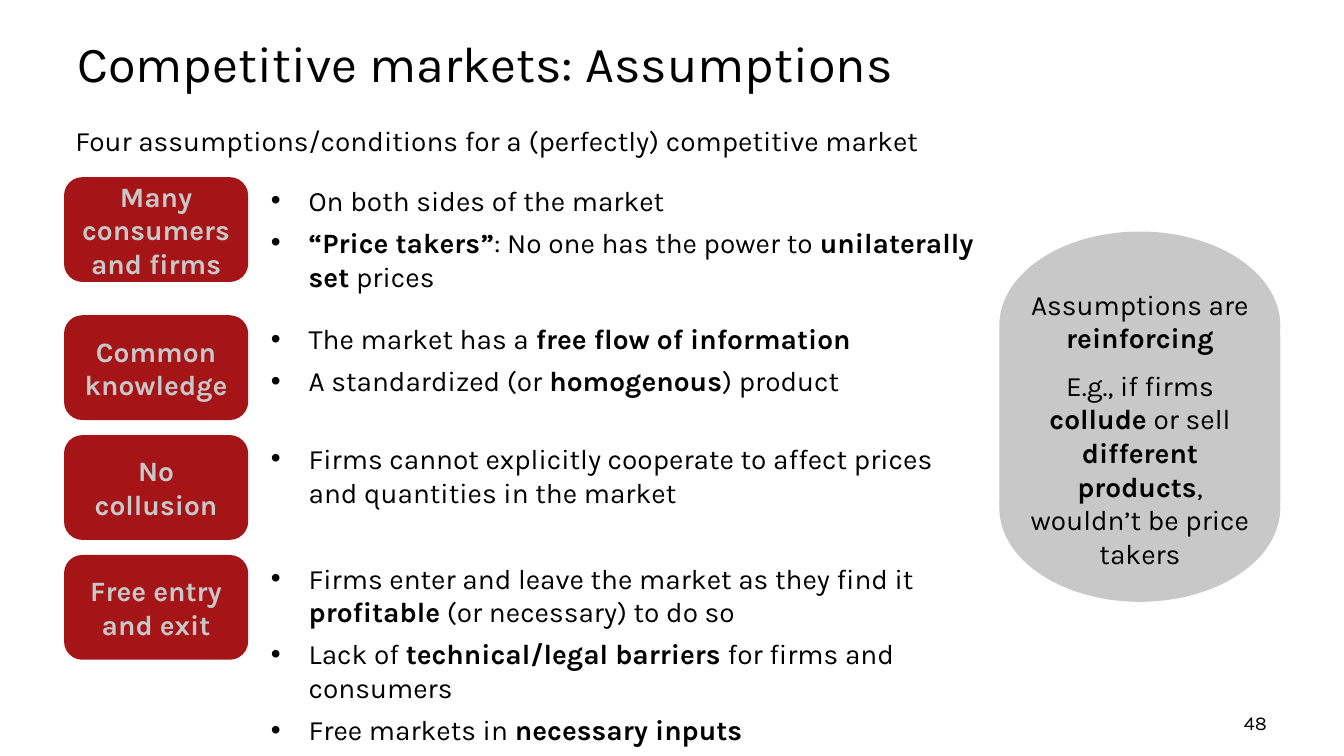
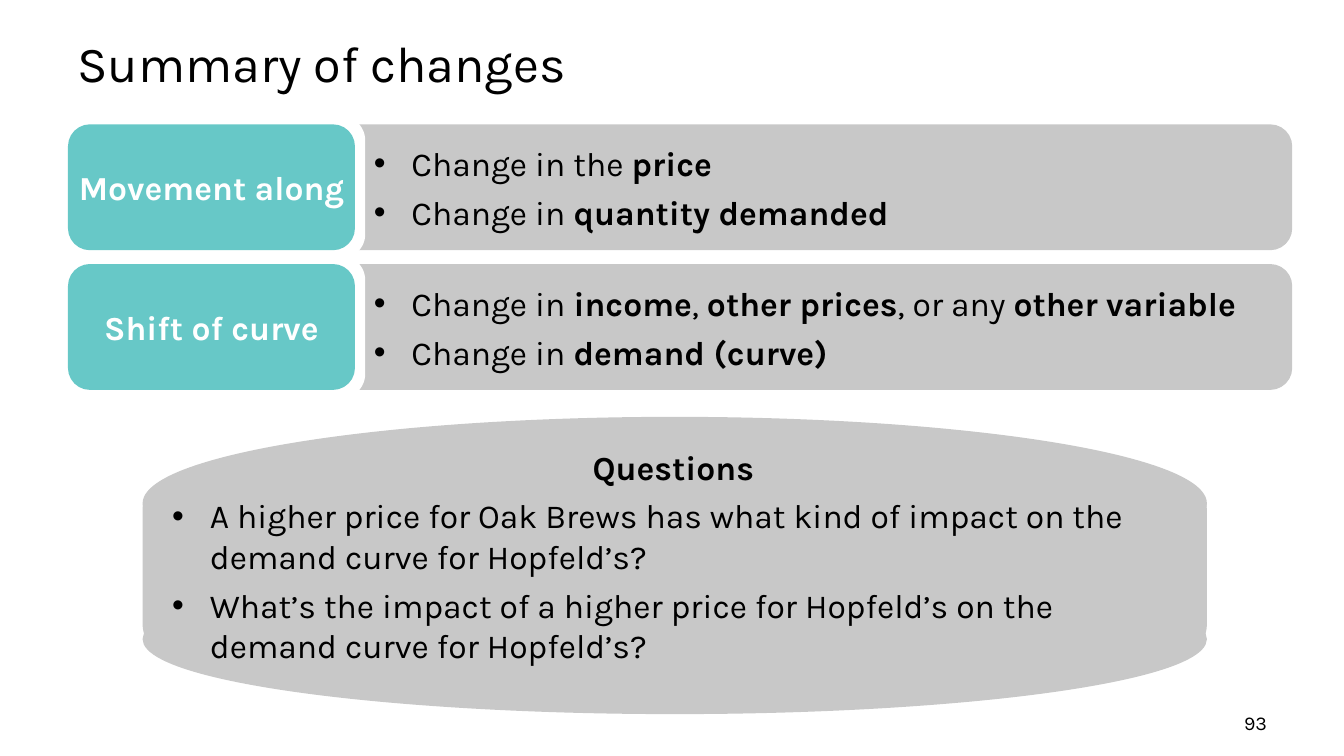
from lxml import etree
from pptx import Presentation
from pptx.dml.color import RGBColor
from pptx.enum import shapes, text
from pptx.oxml.ns import qn
from pptx.util import Cm, Pt

FONT = "Karla"
BLACK = RGBColor(0, 0, 0)
WHITE = RGBColor(255, 255, 255)
RED = RGBColor(0xA5, 0x14, 0x17)
TEAL = RGBColor(0x67, 0xC8, 0xC7)
GREY = RGBColor(0xC8, 0xC8, 0xC8)

ROUNDED = shapes.MSO_SHAPE.ROUNDED_RECTANGLE
OVAL = shapes.MSO_SHAPE.OVAL
LEFT, CENTER, RIGHT = text.PP_ALIGN.LEFT, text.PP_ALIGN.CENTER, text.PP_ALIGN.RIGHT
MIDDLE = text.MSO_ANCHOR.MIDDLE

INTRO = "Four assumptions/conditions for a (perfectly) competitive market"
ASSUMPTIONS = [
    (4.5, "Many consumers and firms", [
        "On both sides of the market",
        "**“Price takers”**: No one has the power to **unilaterally set** prices",
    ]),
    (7.98, "Common knowledge", [
        "The market has a **free flow of information**",
        "A standardized (or **homogenous**) product",
    ]),
    (11, "No collusion", [
        "Firms cannot explicitly cooperate to affect prices and quantities in the market",
    ]),
    (14.02, "Free entry and exit", [
        "Firms enter and leave the market as they find it **profitable** (or necessary) to do so",
        "Lack of **technical/legal barriers** for firms and consumers",
        "Free markets in **necessary inputs**",
    ]),
]
REINFORCING = [
    "Assumptions are **reinforcing**",
    "E.g., if firms **collude** or sell **different products**, wouldn’t be price takers",
]
CHANGES = [
    ("Movement along", [
        "Change in the **price**",
        "Change in **quantity demanded**",
    ]),
    ("Shift of curve", [
        "Change in **income**, **other prices**, or any **other variable**",
        "Change in **demand (curve)**",
    ]),
]
QUESTIONS_HEADING = "**Questions**"
QUESTIONS = [
    "A higher price for Oak Brews has what kind of impact on the demand curve for Hopfeld’s?",
    "What’s the impact of a higher price for Hopfeld’s on the demand curve for Hopfeld’s?",
]


def add_bullet(para):
    props = para._p.get_or_add_pPr()
    props.set("marL", str(Cm(0.95)))
    props.set("indent", str(-Cm(0.95)))
    etree.SubElement(props, qn("a:buFont")).set("typeface", "Arial")
    etree.SubElement(props, qn("a:buChar")).set("char", "•")


def write(para, marked, size, color=BLACK, align=LEFT, before=0, after=0, bullet=False):
    para.alignment = align
    para.space_before, para.space_after = Pt(before), Pt(after)
    if bullet:
        add_bullet(para)
    for index, part in enumerate(marked.split("**")):
        if part:
            span = para.add_run()
            span.text = part
            span.font.name, span.font.size = FONT, Pt(size)
            span.font.bold = index % 2 == 1
            span.font.color.rgb = color


def next_para(frame):
    first = frame.paragraphs[0]
    return first if not first.runs else frame.add_paragraph()


def add_text(page, left, top, width, height, lines=(), size=20, **style):
    box = page.shapes.add_textbox(Cm(left), Cm(top), Cm(width), Cm(height))
    frame = box.text_frame
    frame.word_wrap = True
    for line in lines:
        write(next_para(frame), line, size, **style)
    return frame


def add_bullets(frame, lines, size):
    for line in lines:
        write(next_para(frame), line, size, after=6, bullet=True)


def add_block(page, kind, left, top, width, height, color):
    block = page.shapes.add_shape(kind, Cm(left), Cm(top), Cm(width), Cm(height))
    block.shadow.inherit = False
    block.fill.solid()
    block.fill.fore_color.rgb = color
    block.line.color.rgb = color
    block.line.width = Pt(2)
    return block


def add_label(page, left, top, width, height, fill, label, size, color, side_inset):
    frame = add_block(page, ROUNDED, left, top, width, height, fill).text_frame
    frame.word_wrap = True
    frame.vertical_anchor = MIDDLE
    frame.margin_left = frame.margin_right = Cm(side_inset)
    write(frame.paragraphs[0], f"**{label}**", size, color, CENTER)


def add_barrel(page, left, width, body, upper, lower):
    for kind, (top, height) in ((ROUNDED, body), (OVAL, upper), (OVAL, lower)):
        add_block(page, kind, left, top, width, height, GREY)


def add_page(deck, title, number):
    page = deck.slides.add_slide(deck.slide_layouts[6])
    page.background.fill.solid()
    page.background.fill.fore_color.rgb = WHITE
    add_text(page, 1.7, 0.66, 30.48, 1.8, [title], 36).vertical_anchor = MIDDLE
    add_text(page, 24.28, 17.78, 7.9, 0.86, [number], 14, align=RIGHT)
    return page


def build_assumptions(deck):
    page = add_page(deck, "Competitive markets: Assumptions", "48")
    add_text(page, 1.65, 3, 22.86, 1.12, [INTRO])
    for top, label, points in ASSUMPTIONS:
        add_label(page, 1.65, top, 4.57, 2.57, RED, label, 20, GREY, 0.25)
        add_bullets(add_text(page, 6.58, top, 18.31, 2.57), points, 20)
    add_barrel(page, 25.22, 7.01, (7.42, 6.22), (5.87, 4.67), (10.46, 4.67))
    frame = add_text(page, 25.58, 7.11, 6.3, 6.68)
    for index, line in enumerate(REINFORCING):
        write(next_para(frame), line, 20, align=CENTER, before=5 * index, after=5)


def build_changes(deck):
    page = add_page(deck, "Summary of changes", "93")
    add_barrel(page, 3.63, 26.75, (12.12, 4.34), (10.54, 4.29), (14.25, 3.71))
    frame = add_text(page, 4.09, 11.13, 25.76, 5.82, [QUESTIONS_HEADING], 24,
                     align=CENTER, after=6)
    add_bullets(frame, QUESTIONS, 24)
    for row, (label, points) in enumerate(CHANGES):
        top = 3.17 + 3.52 * row
        add_block(page, ROUNDED, 7.92, top, 24.61, 3.1, GREY)
        add_block(page, ROUNDED, 4.09, top - 0.22, 5.08, 3.54, WHITE)
        add_label(page, 1.75, top, 7.16, 3.1, TEAL, label, 24, WHITE, 0)
        add_bullets(add_text(page, 9.17, top + 0.31, 22.6, 2.51), points, 24)


def main():
    deck = Presentation()
    deck.slide_width, deck.slide_height = Cm(33.87), Cm(19.05)
    build_assumptions(deck)
    build_changes(deck)
    deck.save("out.pptx")


if __name__ == "__main__":
    main()
